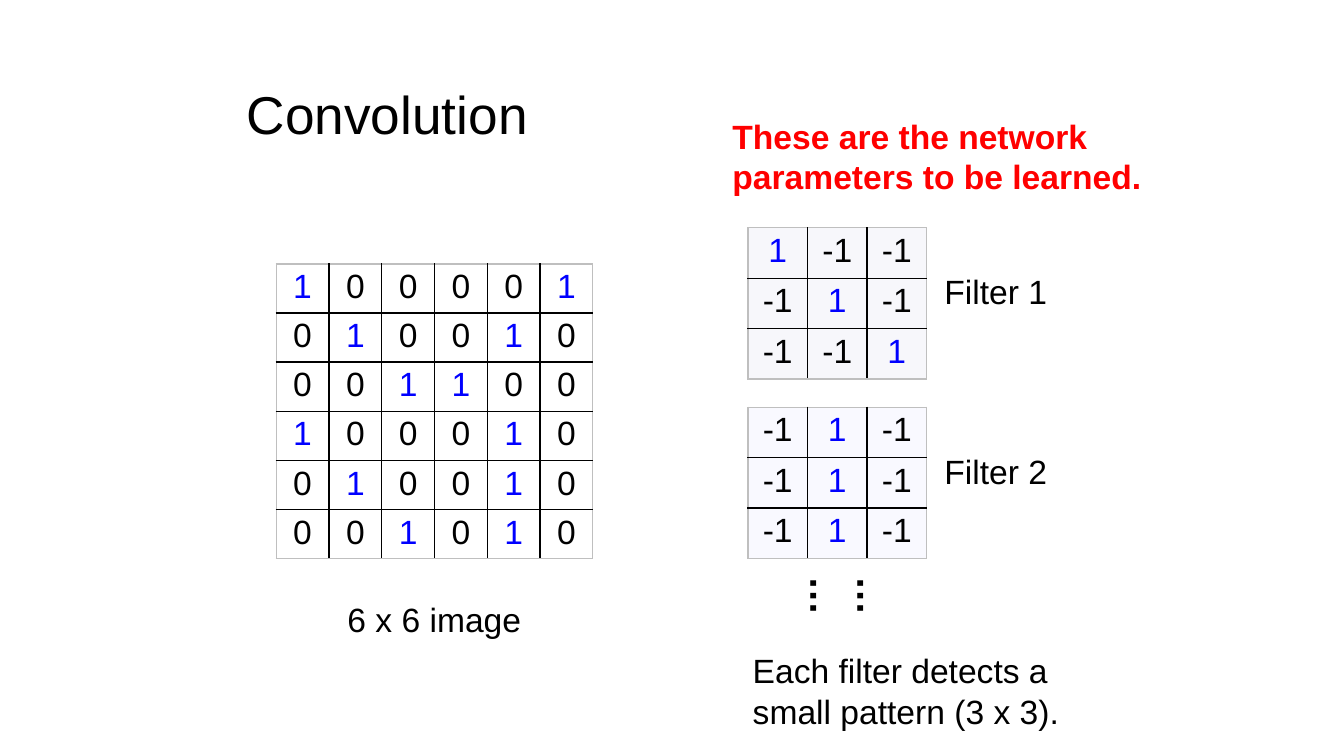
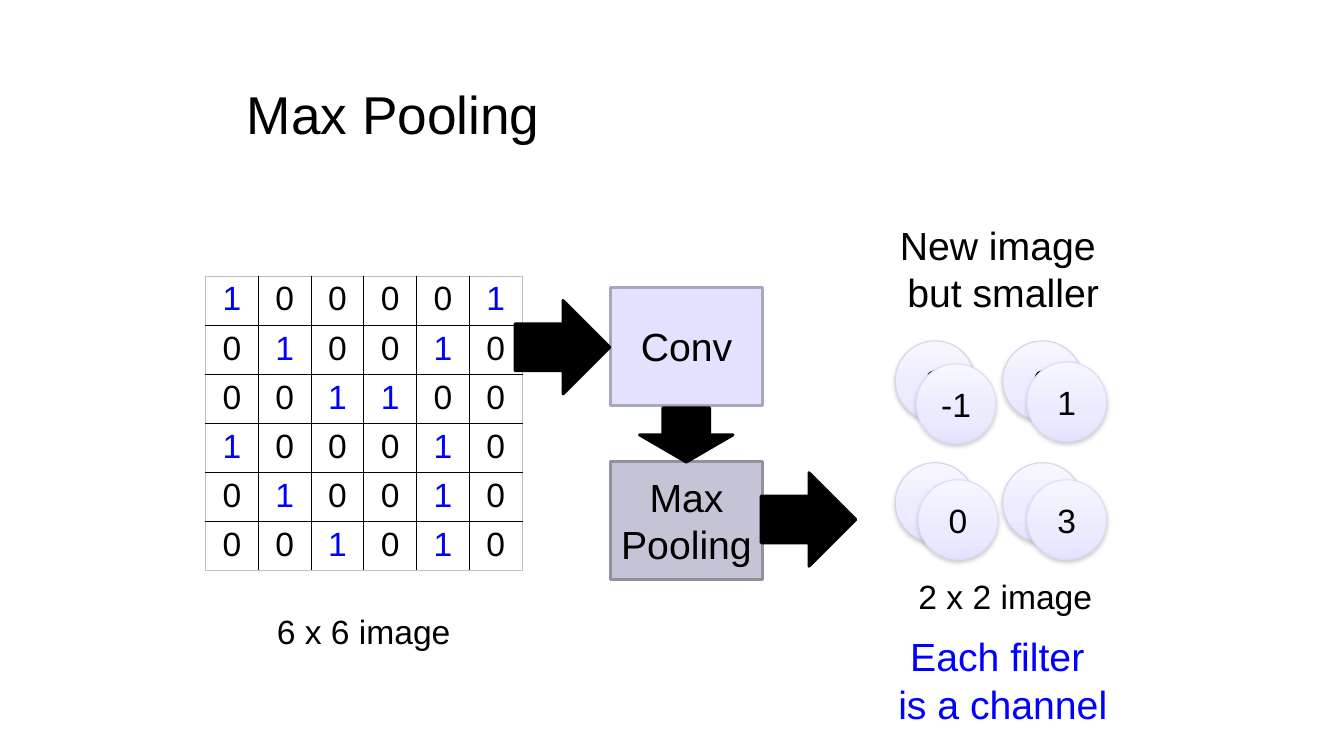
"""Build two slides on convolution and max pooling."""
import lxml.etree
import pptx
import pptx.dml.color
import pptx.enum.shapes
import pptx.enum.text
import pptx.oxml.ns
import pptx.util

Cm, Pt = pptx.util.Cm, pptx.util.Pt
qn = pptx.oxml.ns.qn
KIND = pptx.enum.shapes.MSO_SHAPE
ALIGN = pptx.enum.text.PP_ALIGN
ANCHOR = pptx.enum.text.MSO_ANCHOR

BLACK, BLUE, RED, EDGE = "000000", "0000FF", "FF0000", "BFBFBF"
IMAGE = ["1 0 0 0 0 1", "0 1 0 0 1 0", "0 0 1 1 0 0",
         "1 0 0 0 1 0", "0 1 0 0 1 0", "0 0 1 0 1 0"]
FILTERS = [
    ("Filter 1", 5.74, "F7F7FB", ["1 -1 -1", "-1 1 -1", "-1 -1 1"]),
    ("Filter 2", 10.26, "F9F9FF", ["-1 1 -1", "-1 1 -1", "-1 1 -1"]),
]
NOTES = [
    (["These are the network parameters to be learned."],
     (18.21, 2.79, 11, 2.31), {"tint": RED, "bold": True}),
    (["Each filter detects a small pattern (3 x 3)."],
     (18.72, 16.26, 9.88, 2.31), {}),
]
LABELS = [
    (["New image ", "but smaller"], (22.12, 5.44, 6.32, 2.64), {"size": 28}),
    (["2 x 2 image"], (22.07, 14.4, 6.53, 1.3), {}),
    (["Each filter ", "is a channel"], (22.12, 15.82, 6.3, 2.67),
     {"size": 28, "tint": BLUE}),
]
BACK = (("F7F6FF", "ECEBFF", "E5E3FF"), "D4D3E7")
FRONT = (("F6F6FF", "EBEBFF", "E3E3FF"), "DCDCFA")
BALLS = [
    (BACK, [("3", 22.56, 8.59), ("0", 25.27, 8.59),
            ("", 25.27, 11.66), ("", 22.56, 11.66)]),
    (FRONT, [("-1", 23.09, 9.17), ("1", 25.88, 9.12),
             ("3", 25.88, 12.09), ("0", 23.14, 12.09)]),
]
BALL = 2.01
STEPS = [
    (["Conv"], (15.39, 7.24, 3.82, 2.97), "E2E2FF", "A7A7BD"),
    (["Max", "Pooling"], (15.38, 11.63, 3.84, 2.97), "C4C4D6", "91919E"),
]
ARROWS = [
    ((12.98, 7.57, 2.39, 2.36), 0),
    ((19.18, 11.91, 2.39, 2.36), 0),
    ((16.61, 9.78, 1.37, 2.36), 90),
]


def paint(text):
    return pptx.dml.color.RGBColor.from_string(text)


def assign(thing, values):
    for name, value in values.items():
        setattr(thing, name, value)


def node(parent, tag, **attrs):
    return lxml.etree.SubElement(parent, qn(tag), attrs)


def write(frame, lines, size=24, tint=BLACK, bold=False, align=ALIGN.LEFT):
    for index, line in enumerate(lines):
        para = frame.add_paragraph() if index else frame.paragraphs[0]
        para.alignment = align
        run = para.add_run()
        run.text = line
        assign(run.font, {"name": "Arial", "size": Pt(size), "bold": bold})
        run.font.color.rgb = paint(tint)


def label(slide, lines, box, anchor=ANCHOR.TOP, turn=0, **style):
    shape = slide.shapes.add_textbox(*map(Cm, box))
    shape.rotation = turn
    assign(shape.text_frame, {"word_wrap": True, "vertical_anchor": anchor})
    write(shape.text_frame, lines, **style)


def border(cell, side, tint):
    line = node(cell._tc.get_or_add_tcPr(), "a:ln" + side, w=str(Pt(1)))
    node(node(line, "a:solidFill"), "a:srgbClr", val=tint)


def grid(slide, rows, left, top, wide, high, fill=None):
    cells = [row.split() for row in rows]
    count, span = len(cells), len(cells[0])
    size = map(Cm, (left, top, wide * span, high * count))
    table = slide.shapes.add_table(count, span, *size).table
    assign(table, {"first_row": False, "horz_banding": False})
    for col in table.columns:
        col.width = Cm(wide)
    for y, row in enumerate(cells):
        table.rows[y].height = Cm(high)
        for x, text in enumerate(row):
            cell = table.cell(y, x)
            assign(cell, {"margin_top": Cm(0.11), "margin_bottom": Cm(0.11)})
            outer = {"L": x == 0, "R": x == span - 1,
                     "T": y == 0, "B": y == count - 1}
            for side, edge in outer.items():
                border(cell, side, EDGE if edge else BLACK)
            if fill:
                cell.fill.solid()
                cell.fill.fore_color.rgb = paint(fill)
            else:
                cell.fill.background()
            write(cell.text_frame, [text], align=ALIGN.CENTER,
                  tint=BLUE if text == "1" else BLACK)


def image(slide, left, top):
    grid(slide, IMAGE, left, top, 1.33, 1.2)
    label(slide, ["6 x 6 image"], (left + 0.72, top + 8.31, 6.53, 1.3),
          align=ALIGN.CENTER)


def block(slide, kind, box, fill, edge, width=2, lines=(), size=28):
    shape = slide.shapes.add_shape(kind, *map(Cm, box))
    shape.shadow.inherit = False
    if isinstance(fill, str):
        shape.fill.solid()
        shape.fill.fore_color.rgb = paint(fill)
    else:
        blend(shape, fill)
    shape.line.color.rgb = paint(edge)
    shape.line.width = Pt(width)
    shape.text_frame.vertical_anchor = ANCHOR.MIDDLE
    write(shape.text_frame, lines, size=size, align=ALIGN.CENTER)
    return shape


def blend(shape, tints):
    shape.fill.gradient()
    shape.fill.gradient_angle = 270
    stops = shape._element.spPr.find(".//" + qn("a:gsLst"))
    for stop in list(stops):
        stops.remove(stop)
    for place, tint in zip((0, 65, 100), tints):
        stop = node(stops, "a:gs", pos=str(place * 1000))
        node(stop, "a:srgbClr", val=tint)


def shade(shape):
    effect = shape._element.spPr.find(qn("a:effectLst"))
    cast = node(effect, "a:outerShdw", blurRad=str(Pt(3.1)),
                dist=str(Pt(1.6)), dir="5400000", rotWithShape="0")
    node(node(cast, "a:srgbClr", val="808080"), "a:alpha", val="38000")


def start(deck, title):
    slide = deck.slides.add_slide(deck.slide_layouts[6])
    label(slide, [title], (5.97, 1.02, 21.9, 3.68), ANCHOR.MIDDLE, size=38)
    return slide


def convolve(deck):
    slide = start(deck, "Convolution")
    image(slide, 6.96, 6.65)
    for name, top, fill, rows in FILTERS:
        grid(slide, rows, 18.85, top, 1.5, 1.27, fill)
        label(slide, [name], (23.09, top + 0.97, 4.01, 1.3),
              align=ALIGN.CENTER)
    label(slide, ["……"], (20.42, 13.94, 1.96, 2.64), turn=90,
          size=28, bold=True)
    for lines, box, style in NOTES:
        label(slide, lines, box, **style)


def pool(deck):
    slide = start(deck, "Max Pooling")
    image(slide, 5.18, 6.96)
    for (fill, edge), balls in BALLS:
        for text, left, top in balls:
            shade(block(slide, KIND.OVAL, (left, top, BALL, BALL), fill, edge,
                        0.75, [text] if text else [], 24))
    for lines, box, style in LABELS:
        label(slide, lines, box, align=ALIGN.CENTER, **style)
    for lines, box, fill, edge in STEPS:
        block(slide, KIND.RECTANGLE, box, fill, edge, lines=lines)
    for box, turn in ARROWS:
        arrow = block(slide, KIND.RIGHT_ARROW, box, BLACK, BLACK)
        arrow.rotation = turn


def main():
    deck = pptx.Presentation()
    assign(deck, {"slide_width": Cm(33.87), "slide_height": Cm(19.05)})
    convolve(deck)
    pool(deck)
    deck.save("out.pptx")


if __name__ == "__main__":
    main()
